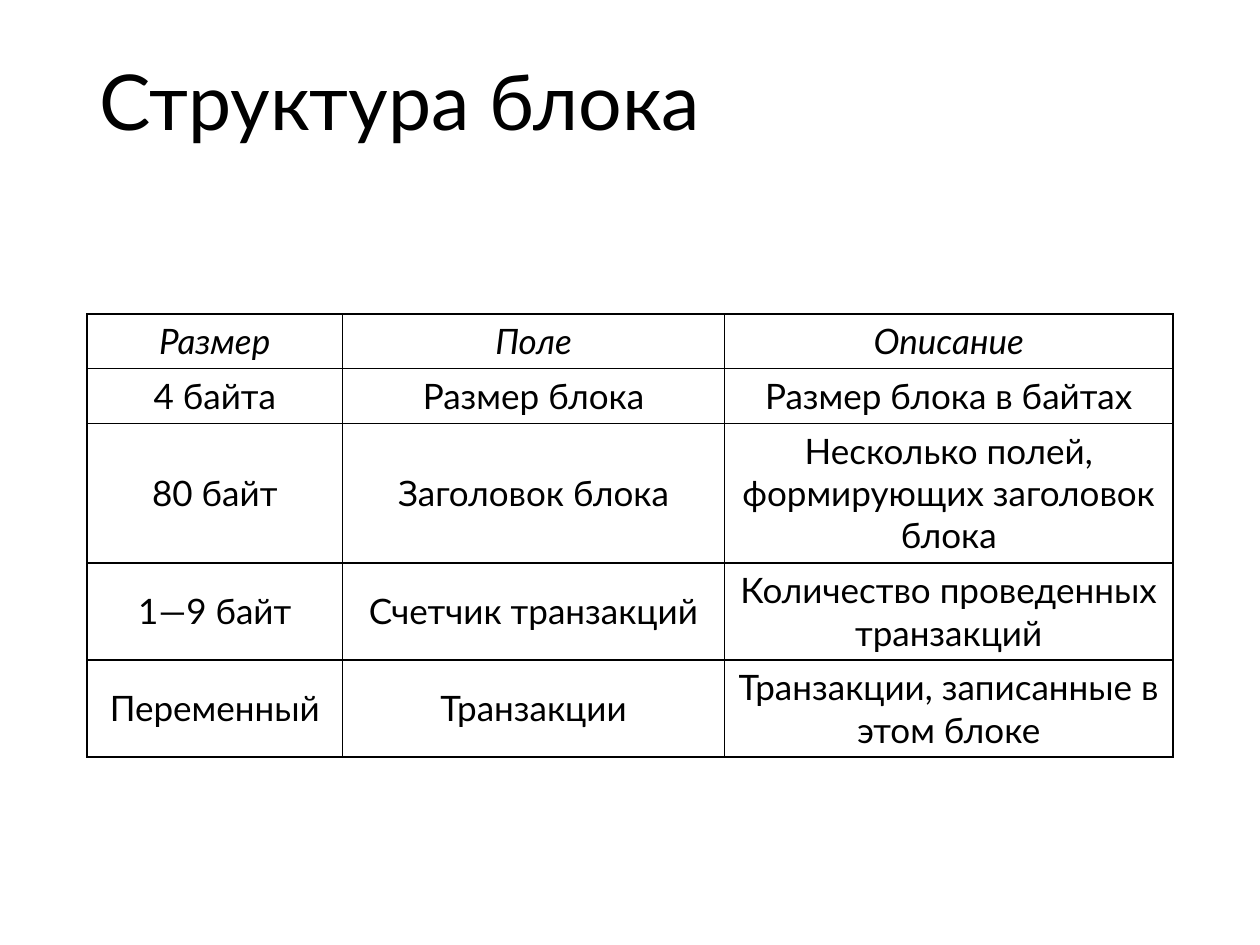
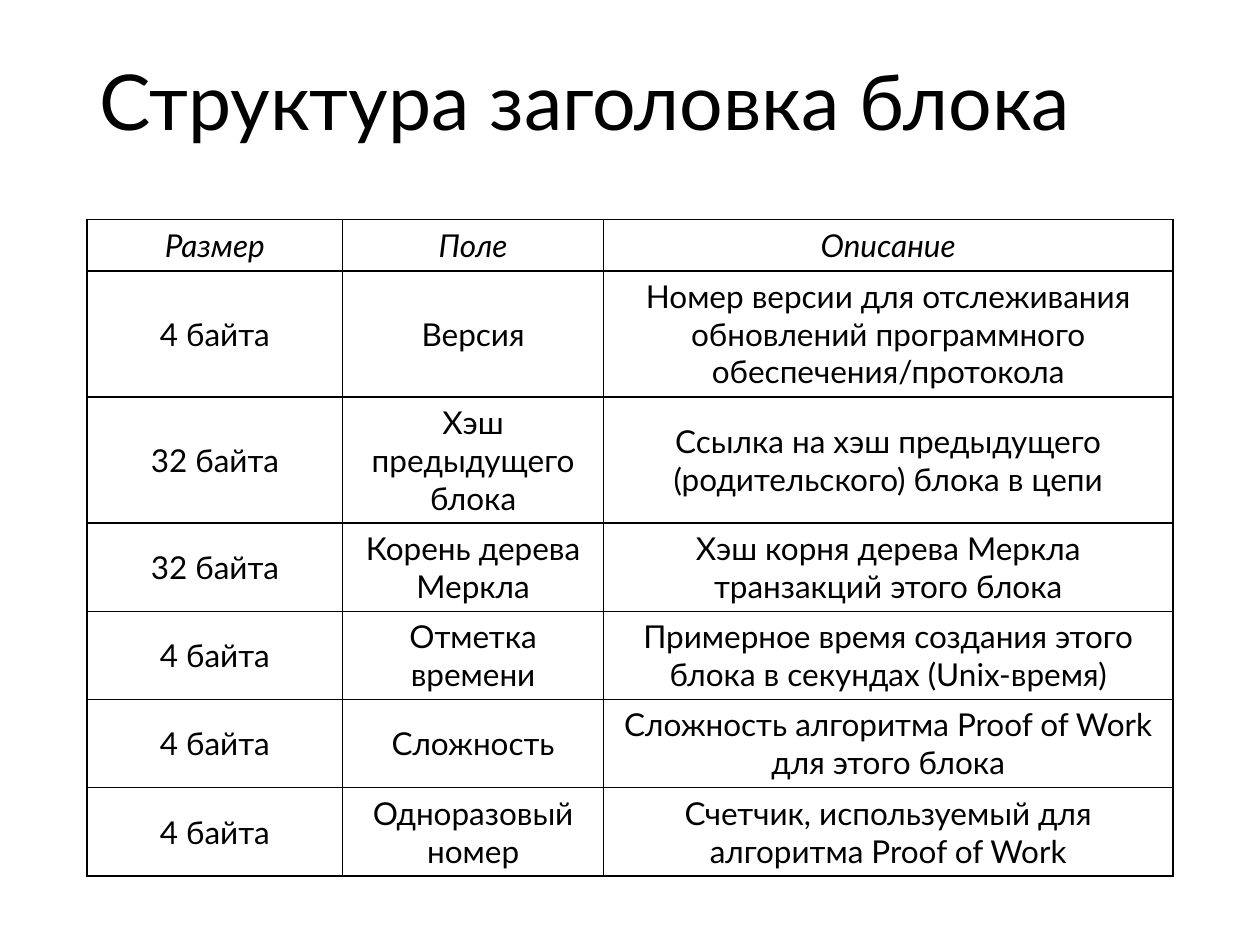
from lxml import etree
from pptx import Presentation
from pptx.dml.color import RGBColor
from pptx.enum.text import MSO_ANCHOR, MSO_AUTO_SIZE, PP_ALIGN
from pptx.oxml.ns import qn
from pptx.util import Pt

MIDDLE = MSO_ANCHOR.MIDDLE
NO_FIT = MSO_AUTO_SIZE.NONE
LEFT = PP_ALIGN.LEFT
CENTER = PP_ALIGN.CENTER

PX = 9144
COLORS = {"text": "000000", "border": "000000"}
FONT = "Lato"
MARGIN, WIDTH = 69, 862
TITLE_HEIGHT = 168
ROW_HEIGHT = 41
HEADER = ("Размер", "Поле", "Описание")

BLOCK_FIELDS = [
    ("4 байта", "Размер блока", "Размер блока в байтах"),
    ("80 байт", "Заголовок блока", "Несколько полей, формирующих заголовок блока"),
    ("1—9 байт", "Счетчик транзакций", "Количество проведенных транзакций"),
    ("Переменный", "Транзакции", "Транзакции, записанные в этом блоке"),
]
HEADER_FIELDS = [
    ("4 байта", "Версия",
     "Номер версии для отслеживания обновлений программного обеспечения/протокола"),
    ("32 байта", "Хэш предыдущего блока",
     "Ссылка на хэш предыдущего (родительского) блока в цепи"),
    ("32 байта", "Корень дерева Меркла",
     "Хэш корня дерева Меркла транзакций этого блока"),
    ("4 байта", "Отметка времени",
     "Примерное время создания этого блока в секундах (Unix-время)"),
    ("4 байта", "Сложность", "Сложность алгоритма Proof of Work для этого блока"),
    ("4 байта", "Одноразовый номер",
     "Счетчик, используемый для алгоритма Proof of Work"),
]


def set_all(target, values):
    for name, value in values.items():
        setattr(target, name, value)


class Deck:
    def __init__(self, width, height):
        self.prs = Presentation()
        set_all(self.prs, {"slide_width": width * PX, "slide_height": height * PX})
        self.s = None

    def slide(self, title):
        self.s = self.prs.slides.add_slide(self.prs.slide_layouts[5])
        sp = self.s.shapes.title
        set_all(sp, {"left": MARGIN * PX, "top": 0,
                     "width": WIDTH * PX, "height": TITLE_HEIGHT * PX})
        tf = sp.text_frame
        set_all(tf, {"auto_size": NO_FIT, "vertical_anchor": MIDDLE, "word_wrap": True})
        self.text(tf.paragraphs[0], title, 44, LEFT, 0.9)

    def text(self, p, text, size, align, spacing=1.0, italic=False):
        set_all(p, {"alignment": align, "line_spacing": spacing})
        r = p.add_run()
        r.text = text
        set_all(r.font, {"name": FONT, "size": Pt(size), "bold": False, "italic": italic})
        r.font.color.rgb = RGBColor.from_string(COLORS["text"])

    def borders(self, cell):
        tc_pr = cell._tc.get_or_add_tcPr()
        for side in ("a:lnL", "a:lnR", "a:lnT", "a:lnB"):
            ln = etree.SubElement(tc_pr, qn(side), w=str(Pt(1)))
            fill = etree.SubElement(ln, qn("a:solidFill"))
            etree.SubElement(fill, qn("a:srgbClr"), val=COLORS["border"])

    def table(self, top, height, widths, fields, size):
        rows = [HEADER, *fields]
        frame = self.s.shapes.add_table(len(rows), len(widths), MARGIN * PX, top * PX,
                                        WIDTH * PX, height * PX)
        table = frame.table
        set_all(table, {"first_row": False, "horz_banding": False})
        for column, width in zip(table.columns, widths):
            column.width = width * PX
        for i, (row, values) in enumerate(zip(table.rows, rows)):
            row.height = ROW_HEIGHT * PX
            for cell, value in zip(row.cells, values):
                cell.vertical_anchor = MIDDLE
                self.borders(cell)
                cell.fill.background()
                self.text(cell.text_frame.paragraphs[0], value, size, CENTER,
                          italic=i == 0)
        frame.height = height * PX


def main():
    deck = Deck(1000, 750)
    deck.slide("Структура блока")
    deck.table(249, 350, (203, 303, 356), BLOCK_FIELDS, 20)
    deck.slide("Структура заголовка блока")
    deck.table(174, 521, (203, 207, 452), HEADER_FIELDS, 18)
    deck.prs.save("out.pptx")


if __name__ == "__main__":
    main()
